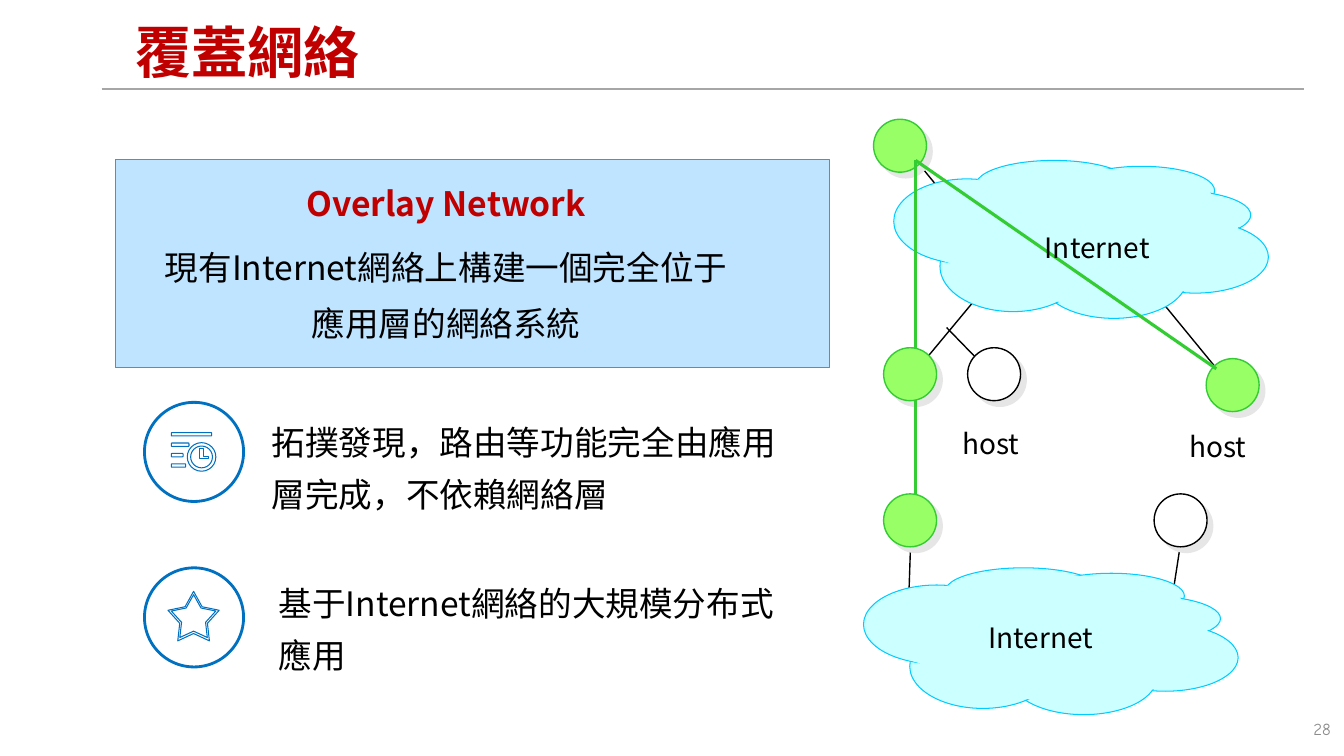
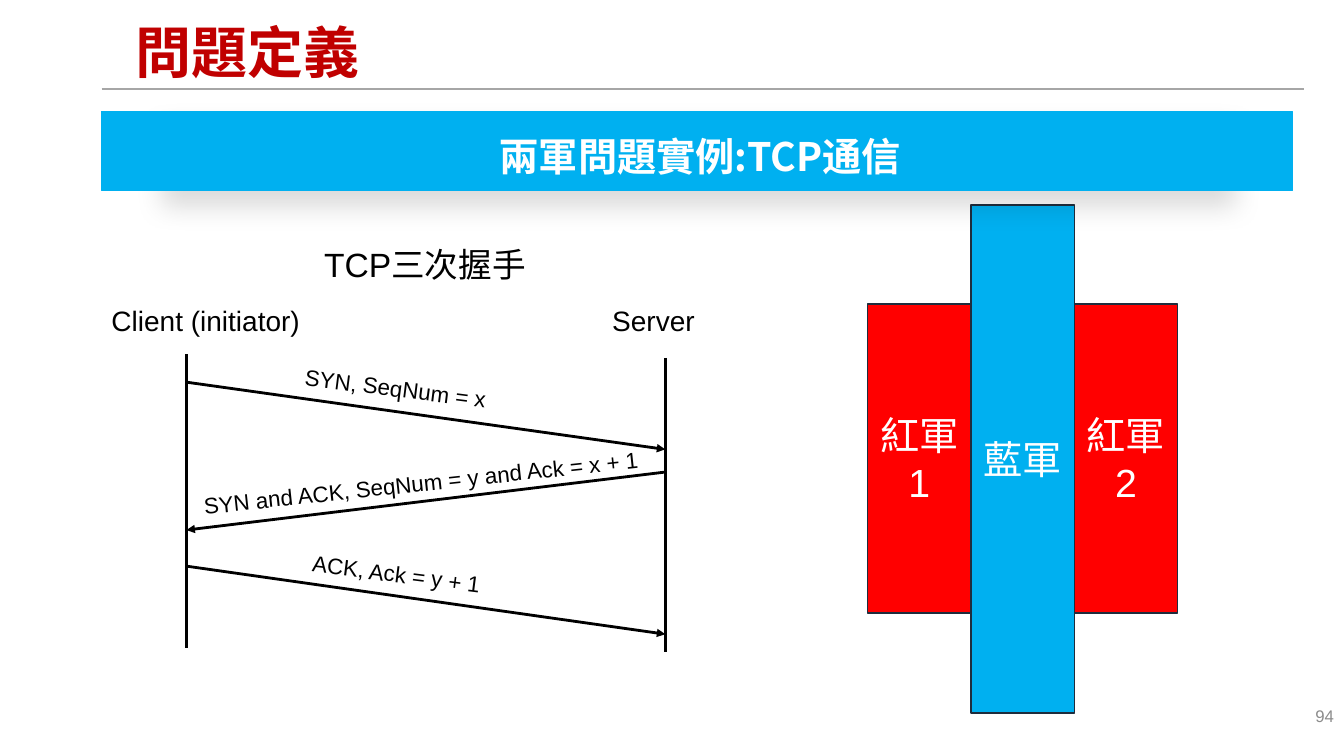
from lxml.etree import SubElement
from pptx import Presentation
from pptx.dml.color import RGBColor
from pptx.enum.shapes import MSO_CONNECTOR, MSO_SHAPE
from pptx.enum.text import MSO_ANCHOR, MSO_AUTO_SIZE, PP_ALIGN
from pptx.oxml.ns import qn
from pptx.util import Inches, Pt

COLS, ROWS = 160, 90  # square cells on a 13.33 x 7.5 inch slide
CELL = Inches(7.5) / ROWS

HUES = {
    "white": "FFFFFF", "black": "000000", "rule": "A6A6A6", "grey": "8C8C8C",
    "title": "C00000", "panel": "BFE4FF", "sky": "00B0F0", "ring": "0070C0",
    "cloud": "CCFFFF", "edge": "00CCFF", "lime": "99FF66", "green": "33CC33",
    "shade": "E7E6E6", "red": "FF0000", "navy": "1F2D3D",
}
NOTO, ARIAL = "Noto Sans CJK SC", "Arial"

# Text looks: font values, hue and paragraph values
LOOKS = {
    "title": (dict(size=Pt(40), bold=True, name=NOTO), "title",
              dict(alignment=PP_ALIGN.LEFT, line_spacing=0.9)),
    "head": (dict(size=Pt(24), bold=True, name=NOTO), "title",
             dict(alignment=PP_ALIGN.CENTER, line_spacing=1.4)),
    "lead": (dict(size=Pt(24), name=NOTO), "black",
             dict(alignment=PP_ALIGN.CENTER, line_spacing=1.4, space_before=Pt(5))),
    "item": (dict(size=Pt(24), name=NOTO), "black", dict(line_spacing=1.3)),
    "label": (dict(size=Pt(20), name=NOTO), "black", {}),
    "topic": (dict(size=Pt(24), name=ARIAL), "black", {}),
    "peer": (dict(size=Pt(20), name=ARIAL), "black", dict(alignment=PP_ALIGN.CENTER)),
    "note": (dict(size=Pt(16), name=ARIAL), "black", dict(alignment=PP_ALIGN.CENTER)),
    "army": (dict(size=Pt(28), name=ARIAL), "white", dict(alignment=PP_ALIGN.CENTER)),
    "banner": (dict(size=Pt(28), bold=True, name=NOTO), "white",
               dict(alignment=PP_ALIGN.CENTER, line_spacing=1.2)),
    "page": (dict(size=Pt(12), name=ARIAL), "grey", dict(alignment=PP_ALIGN.RIGHT)),
}

# Cloud parts, in cells from the cloud's top left corner
PUFFS = [(9.8, 0, 18.5, 5.8), (20.8, 0.7, 17.4, 5.8), (25.1, 3.6, 17.4, 5.8),
         (27.2, 7.2, 17.4, 8.6), (17.5, 9.4, 17.4, 9.4), (5.5, 7.2, 17.4, 10.8),
         (0, 2.2, 17.4, 10.1)]
CORE = [(5.5, 3.6), (13.1, 1.4), (19.7, 0.7), (32.6, 1.4), (37, 2.9), (39.1, 5.8),
        (41.4, 6.5), (39.1, 14.4), (25.1, 17.9), (10.9, 15.1), (6.6, 12.2), (4.4, 11.5)]


def hue(name):
    return RGBColor.from_string(HUES[name])


def cells(*counts):
    return [round(n * CELL) for n in counts]


class Deck:
    def __init__(self):
        self.file = Presentation()
        self.file.slide_width, self.file.slide_height = cells(COLS, ROWS)

    def page(self, title, number, face=ARIAL, box=(124, 83.4, 36, 4.8)):
        """Start a slide with its title, rule and page number."""
        self.slide = self.file.slides.add_slide(self.file.slide_layouts[5])
        self.shapes = self.slide.shapes
        self.line((12.1, 10.6), (155.3, 10.6), "rule", 1)
        head = self.shapes.title
        head.left, head.top, head.width, head.height = cells(14.9, 1.8, 134.2, 9.5)
        self.fill(head, [("title", title)], anchor=MSO_ANCHOR.MIDDLE)
        mark = self.text(box, "page", number)
        mark.text_frame.paragraphs[0].runs[0].font.name = face

    def fill(self, shape, lines, inset=(0.1, 0.05, 0.1, 0.05),
             anchor=MSO_ANCHOR.TOP, wrap=True):
        """Put lines of styled text into a shape."""
        frame = shape.text_frame
        setup = dict(word_wrap=wrap, vertical_anchor=anchor, auto_size=MSO_AUTO_SIZE.NONE)
        for side, size in zip(("left", "top", "right", "bottom"), inset):
            setup["margin_" + side] = Inches(size)
        for key, value in setup.items():
            setattr(frame, key, value)
        for i, (look, words) in enumerate(lines):
            para = frame.add_paragraph() if i else frame.paragraphs[0]
            run = para.add_run()
            run.text = words
            font, tint, layout = LOOKS[look]
            for part, values in ((run.font, font), (para, layout)):
                for key, value in values.items():
                    setattr(part, key, value)
            run.font.color.rgb = hue(tint)
            SubElement(run.font._element, qn("a:ea"), typeface=NOTO)

    def text(self, box, look, words, turn=0, **setup):
        shape = self.shapes.add_textbox(*cells(*box))
        shape.rotation = turn
        self.fill(shape, [(look, words)], **setup)
        return shape

    def paint(self, shape, fill, edge, width):
        shape.shadow.inherit = False
        if fill:
            shape.fill.solid()
            shape.fill.fore_color.rgb = hue(fill)
        else:
            shape.fill.background()
        if edge:
            shape.line.color.rgb = hue(edge)
            shape.line.width = Pt(width)
        else:
            shape.line.fill.background()
        return shape

    def shape(self, kind, box, fill, edge, width=0.75):
        return self.paint(self.shapes.add_shape(kind, *cells(*box)), fill, edge, width)

    def outline(self, points, fill, edge=None):
        dots = [cells(*point) for point in points]
        pen = self.shapes.build_freeform(*dots[0])
        pen.add_line_segments(dots[1:], close=True)
        return self.paint(pen.convert_to_shape(), fill, edge, 0.75)

    def shade(self, shape, tint, share, blur, gap, angle, **more):
        effects = shape._element.spPr.find(qn("a:effectLst"))
        shadow = SubElement(effects, qn("a:outerShdw"), blurRad=str(Pt(blur)),
                            dist=str(Pt(gap)), dir=str(angle * 60000), **more)
        color = SubElement(shadow, qn("a:srgbClr"), val=HUES[tint])
        SubElement(color, qn("a:alpha"), val=str(share * 1000))

    def line(self, start, end, tint, width, arrow=False):
        link = self.shapes.add_connector(MSO_CONNECTOR.STRAIGHT, *cells(*start, *end))
        link.line.color.rgb = hue(tint)
        link.line.width = Pt(width)
        if arrow:
            SubElement(link.line._get_or_add_ln(), qn("a:tailEnd"), type="triangle")
        SubElement(link._element.spPr, qn("a:effectLst"))

    def node(self, x, y, fill, edge):
        disc = self.shape(MSO_SHAPE.OVAL, (x, y, 6.3, 6.3), fill, edge, 1)
        self.shade(disc, "shade", 100, 0, 5.7, 45)

    def cloud(self, x, y, scale):
        for dx, dy, w, h in PUFFS:
            self.shape(MSO_SHAPE.OVAL, (x + dx, y + dy * scale, w, h * scale),
                       "cloud", "edge")
        self.outline([(x + dx, y + dy * scale) for dx, dy in CORE], "cloud")

    def ring(self, y):
        self.shape(MSO_SHAPE.OVAL, (17.2, y, 11.8, 11.8), None, "ring", 2)


def overlay(deck):
    deck.page("覆蓋網絡", "28", "Comic Neue", (122.3, 85, 37.3, 4.8))

    # Definition panel
    deck.shape(MSO_SHAPE.RECTANGLE, (13.7, 19, 85.1, 24.8), "panel", "sky")
    words = deck.shapes.add_textbox(*cells(16.8, 19.3, 72.6, 21.8))
    deck.fill(words, [("head", "Overlay Network"),
                      ("lead", "現有Internet網絡上構建一個完全位于應用層的網絡系統")])

    # Access links, hosts and clouds
    for start, end in [((117.4, 34.1), (110.5, 42.4)), ((112.7, 39), (116, 42.4)),
                       ((138.7, 36.4), (144.6, 43.6)), ((109.3, 19.4), (112, 22.7)),
                       ((139.7, 70.2), (140.5, 65)), ((108.4, 65), (108.2, 70.9))]:
        deck.line(start, end, "black", 1)
    for x, y in [(137.4, 58.8), (115.2, 41.4)]:
        deck.node(x, y, "white", "black")
    for x, y in [(143.6, 42.7), (104, 14.2), (105.2, 58.8), (105.2, 41.4)]:
        deck.node(x, y, "lime", "green")
    deck.cloud(106.4, 19.1, 1)
    deck.cloud(102.8, 67.6, 0.93)

    # Overlay links and labels
    for start, end in [((109, 19.1), (144.8, 43.9)), ((109, 19.1), (109, 41.4)),
                       ((109, 47.6), (109, 58.8))]:
        deck.line(start, end, "green", 2.25)
    for x, y, name in [(116.5, 73.3, "Internet"), (123.2, 26.8, "Internet"),
                       (140.4, 50.6, "host"), (113.4, 50.2, "host")]:
        deck.text((x, y, 16, 5.3), "label", name)

    # Clock icon
    deck.ring(47.9)
    for i, width in enumerate((4.8, 2.1, 1.4, 1.7)):
        deck.shape(MSO_SHAPE.ROUNDED_RECTANGLE, (20.4, 51.5 + 1.24 * i, width, 0.4),
                   "white", "ring")
    for x, y, size in [(22.3, 52.7, 3.4), (22.7, 53.1, 2.6)]:
        deck.shape(MSO_SHAPE.OVAL, (x, y, size, size), "white", "ring")
    deck.outline([(23.8, 53.4), (24.2, 53.4), (24.2, 54.3), (24.8, 54.3),
                  (24.8, 54.6), (23.8, 54.6)], "white", "ring")

    # Star icon
    deck.ring(67.6)
    for box in [(20, 70.4, 6.1, 5.9), (20.4, 70.8, 5.3, 5.1)]:
        star = deck.shape(MSO_SHAPE.STAR_5_POINT, box, "white", "ring")
        star.adjustments[0] = 0.27

    # Features
    for box, words in [
            ((30.8, 47.9, 63.2, 13.6), "拓撲發現，路由等功能完全由應用層完成，不依賴網絡層"),
            ((31.6, 67.1, 62.4, 13.6), "基于Internet網絡的大規模分布式應用")]:
        deck.text(box, "item", words, inset=(0.13, 0.07, 0.13, 0.07))


def armies(deck):
    deck.page("問題定義", "94")

    # Handshake peers
    deck.text((37.4, 28.4, 30.4, 6), "topic", "TCP三次握手")
    left, right = 22.2, 79.2
    for x, top in [(left, 42.2), (right, 42.6)]:
        deck.line((x, top), (x, top + 35), "black", 2)
    for x, width, name in [(10.9, 27.2, "Client (initiator)"), (71.4, 12.8, "Server")]:
        deck.text((x, 35.5, width, 5.2), "peer", name, wrap=False)

    # Messages
    for start, end, box, turn, words in [
            ((left, 45.5), (right, 53.5), (34.6, 44, 25, 4.4), 7.2, "SYN, SeqNum = x"),
            ((right, 56.2), (left, 63.1), (21.5, 55.2, 57.2, 4.4), -6.3,
             "SYN and ACK, SeqNum = y and Ack = x + 1"),
            ((left, 67.4), (right, 75.5), (35.3, 66.1, 23.8, 4.4), 7.2, "ACK, Ack = y + 1")]:
        deck.line(start, end, "black", 2, arrow=True)
        deck.text(box, "note", words, turn, wrap=False)

    # Armies side by side
    for i, (name, fill, top, height) in enumerate([
            ("紅軍1", "red", 36.2, 36.8), ("藍軍", "sky", 24.4, 60.5),
            ("紅軍2", "red", 36.2, 36.8)]):
        block = deck.shape(MSO_SHAPE.RECTANGLE, (103.3 + 12.3 * i, top, 12.3, height),
                           fill, "navy", 1)
        deck.fill(block, [("army", name)], anchor=MSO_ANCHOR.MIDDLE)

    # Banner
    band = deck.shape(MSO_SHAPE.RECTANGLE, (12.1, 13.3, 141.8, 9.4), "sky", "sky", 0.5)
    deck.shade(band, "black", 15, 20, 10, 90, sx="90000", algn="t")
    deck.fill(band, [("banner", "兩軍問題實例:TCP通信")],
              inset=(0.16, 0.12, 0.1, 0.12), anchor=MSO_ANCHOR.MIDDLE)


def main():
    deck = Deck()
    overlay(deck)
    armies(deck)
    deck.file.save("out.pptx")


if __name__ == "__main__":
    main()
